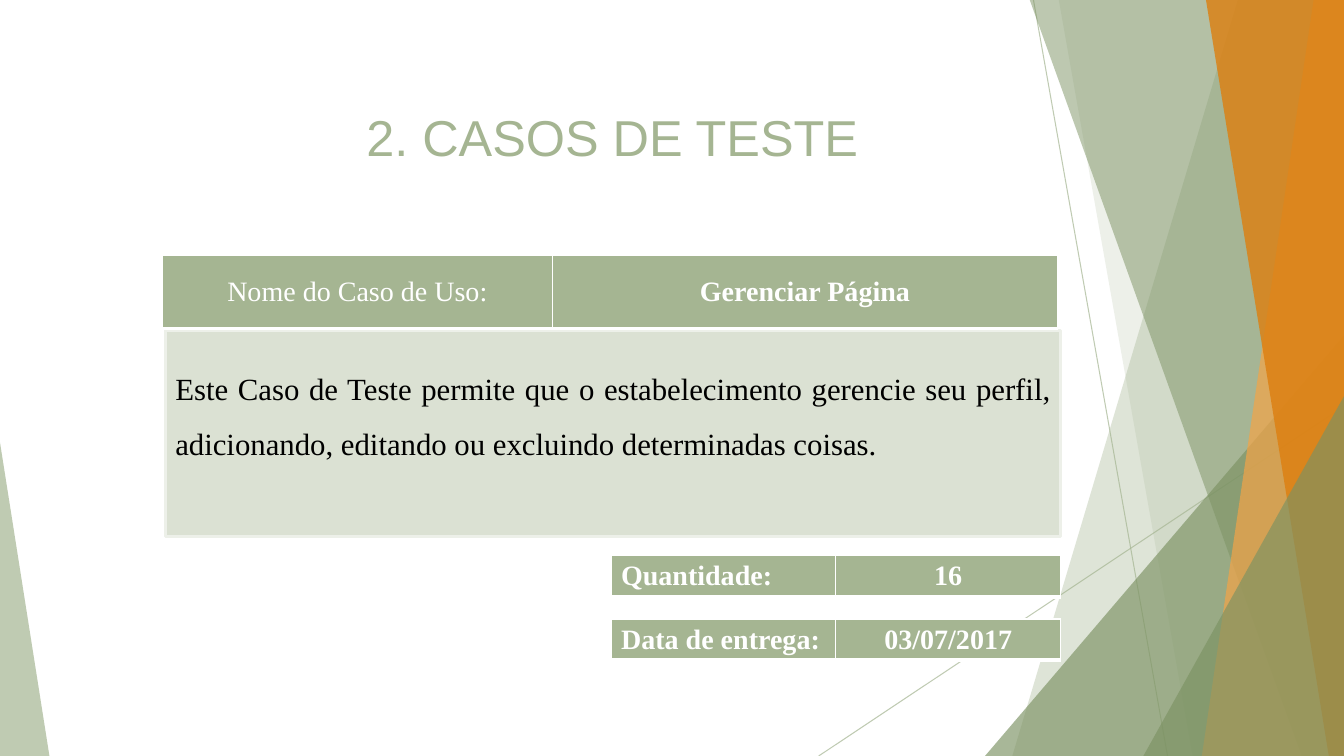
from dataclasses import dataclass

from lxml import etree
from pptx import Presentation
from pptx import util as u
from pptx.dml.color import RGBColor
from pptx.enum import shapes, text
from pptx.oxml.ns import qn


@dataclass(frozen=True)
class Theme:
    sage: RGBColor = RGBColor.from_string("A5B592")
    moss: RGBColor = RGBColor.from_string("7C9263")
    amber: RGBColor = RGBColor.from_string("F3A447")
    orange: RGBColor = RGBColor.from_string("DD7E0E")
    panel: RGBColor = RGBColor.from_string("DBE1D3")
    panel_edge: RGBColor = RGBColor.from_string("EDF0E9")
    white: RGBColor = RGBColor.from_string("FFFFFF")
    black: RGBColor = RGBColor.from_string("000000")
    serif: str = "Times New Roman"
    sans: str = "Arial"
    title_size: int = 36
    body_size: int = 22
    table_size: int = 20


theme = Theme()
LEFT, CENTER, JUSTIFY = text.PP_ALIGN.LEFT, text.PP_ALIGN.CENTER, text.PP_ALIGN.JUSTIFY
MIDDLE, TOP = text.MSO_ANCHOR.MIDDLE, text.MSO_ANCHOR.TOP


def write_text(frame, words, *, size, color, font=theme.serif, bold=False,
               align=LEFT, spacing=1.0):
    frame.word_wrap = True
    paragraph = frame.paragraphs[0]
    paragraph.alignment = align
    paragraph.line_spacing = spacing
    run = paragraph.add_run()
    run.text = words
    run.font.name, run.font.size, run.font.bold = font, u.Pt(size), bold
    run.font.color.rgb = color


def set_opacity(shape, percent):
    for color in shape.element.spPr.iter(qn("a:srgbClr")):
        etree.SubElement(color, qn("a:alpha"), val=str(percent * 1000))


presentation = Presentation()
presentation.slide_width, presentation.slide_height = u.Inches(13.33), u.Inches(7.5)
slide = presentation.slides.add_slide(presentation.slide_layouts[6])

# Thin lines behind the facets
for ends in [(10.25, 0, 11.58, 7.5), (13.33, 4.03, 8.12, 7.5)]:
    line = slide.shapes.add_connector(
        shapes.MSO_CONNECTOR.STRAIGHT, *[u.Inches(value) for value in ends])
    line.line.color.rgb = theme.sage
    line.line.width = u.Pt(0.75)
    set_opacity(line, 70)
    etree.SubElement(line.element.spPr, qn("a:effectLst"))

# Facets: a band is (top x, bottom x) and runs to the right edge;
# a triangle is (left, top, width, apex) and stands on the bottom edge
facets = [
    ("band", (12.28, 10.04), theme.sage, 36),
    ("band", (10.5, 11.83), theme.sage, 20),
    ("triangle", (9.77, 3.33, 3.56, 1), theme.moss, 66),
    ("band", (10.21, 12.91), theme.moss, 50),
    ("band", (13.03, 11.92), theme.amber, 70),
    ("band", (11.96, 13.18), theme.orange, 80),
    ("triangle", (11.34, 3.93, 1.99, 1), theme.moss, 66),
    ("triangle", (0, 4.39, 0.49, 0), theme.sage, 70),
]
for kind, geometry, color, opacity in facets:
    if kind == "band":
        top_x, bottom_x = geometry
        corners = [(u.Inches(x), u.Inches(y)) for x, y in
                   [(top_x, -0.01), (13.33, -0.01), (13.33, 7.5), (bottom_x, 7.5)]]
        builder = slide.shapes.build_freeform(*corners[0])
        builder.add_line_segments(corners[1:], close=True)
        facet = builder.convert_to_shape()
    else:
        left, top, width, apex = geometry
        facet = slide.shapes.add_shape(
            shapes.MSO_SHAPE.ISOSCELES_TRIANGLE, u.Inches(left), u.Inches(top),
            u.Inches(width), u.Inches(7.5 - top))
        facet.adjustments[0] = apex
    facet.shadow.inherit = False
    facet.fill.solid()
    facet.fill.fore_color.rgb = color
    facet.line.fill.background()
    set_opacity(facet, opacity)

# Use case description
panel = slide.shapes.add_shape(
    shapes.MSO_SHAPE.RECTANGLE, u.Inches(1.64), u.Inches(3.28), u.Inches(8.88), u.Inches(2.04))
panel.shadow.inherit = False
panel.fill.solid()
panel.fill.fore_color.rgb = theme.panel
panel.line.color.rgb = theme.panel_edge
panel.line.width = u.Pt(2)
panel.text_frame.vertical_anchor = MIDDLE
panel.text_frame.margin_bottom = u.Inches(0.58)
write_text(panel.text_frame,
           "Este Caso de Teste permite que o estabelecimento gerencie seu perfil, "
           "adicionando, editando ou excluindo determinadas coisas.",
           size=theme.body_size, color=theme.black, align=JUSTIFY, spacing=1.5)

# One-row tables: left, top, height, column widths, anchor,
# then (words, bold, alignment) for each cell
tables = [
    (1.61, 2.53, 0.73, (3.87, 5.01), MIDDLE,
     [("Nome do Caso de Uso:", False, CENTER), ("Gerenciar Página", True, CENTER)]),
    (6.06, 5.51, 0.41, (2.23, 2.23), TOP,
     [("Quantidade:", True, LEFT), ("16", True, CENTER)]),
    (6.06, 6.14, 0.41, (2.23, 2.23), TOP,
     [("Data de entrega:", True, LEFT), ("03/07/2017", True, CENTER)]),
]
for left, top, height, widths, anchor, entries in tables:
    table = slide.shapes.add_table(
        1, len(widths), u.Inches(left), u.Inches(top),
        u.Inches(sum(widths)), u.Inches(height)).table
    table.first_row = table.horz_banding = False
    for column, width in zip(table.columns, widths):
        column.width = u.Inches(width)
    for cell, (words, bold, align) in zip(table.rows[0].cells, entries):
        cell.vertical_anchor = anchor
        properties = cell._tc.get_or_add_tcPr()
        for side, points in [("L", 1), ("R", 1), ("T", 1), ("B", 3)]:
            border = etree.SubElement(properties, qn(f"a:ln{side}"), w=str(u.Pt(points)))
            border_fill = etree.SubElement(border, qn("a:solidFill"))
            etree.SubElement(border_fill, qn("a:srgbClr"), val=str(theme.white))
        cell.fill.solid()
        cell.fill.fore_color.rgb = theme.sage
        write_text(cell.text_frame, words, size=theme.table_size, color=theme.white,
                   bold=bold, align=align)

title = slide.shapes.add_textbox(u.Inches(0.76), u.Inches(1), u.Inches(10.63), u.Inches(0.71))
title.text_frame.vertical_anchor = MIDDLE
write_text(title.text_frame, "2. CASOS DE TESTE", size=theme.title_size,
           color=theme.sage, font=theme.sans, align=CENTER)

presentation.save("out.pptx")
